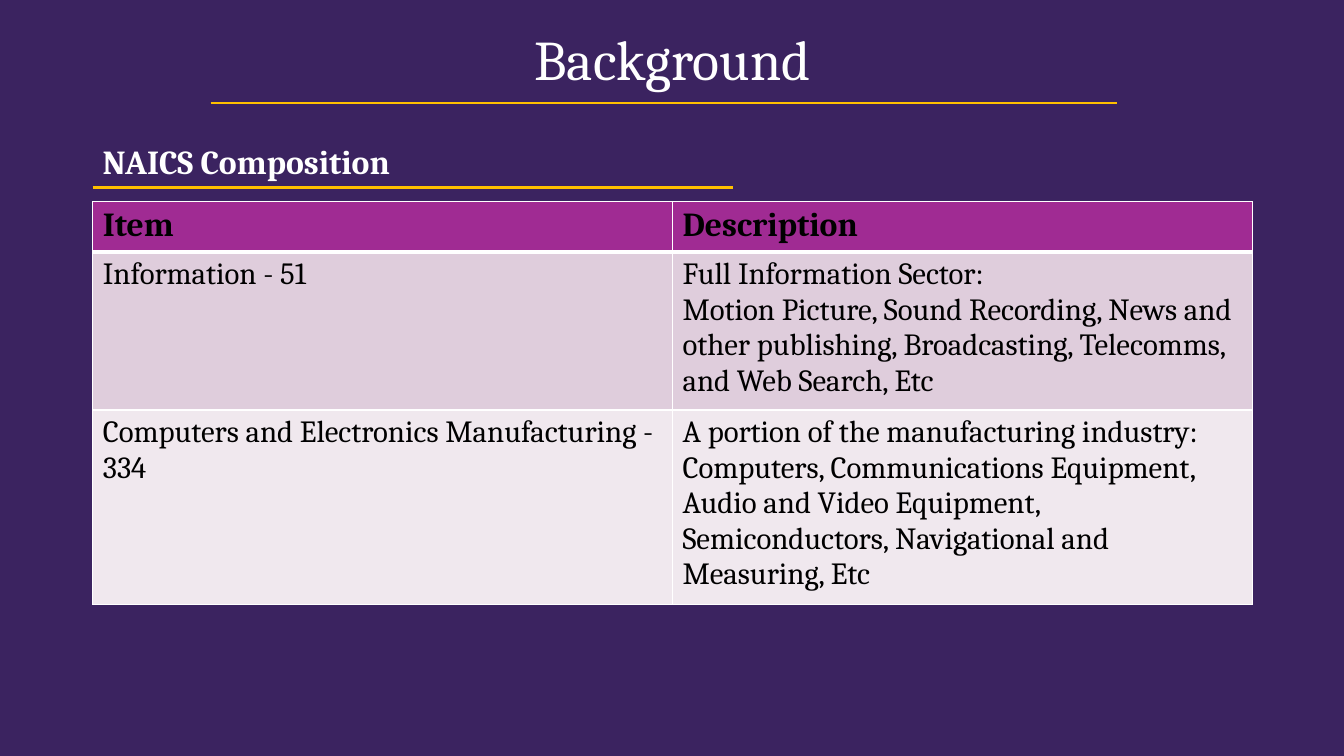
from lxml import etree
from pptx import Presentation
from pptx import util as u
from pptx.dml.color import RGBColor
from pptx.enum import shapes, text
from pptx.oxml import ns

COLORS = {
    "background": "3B2360",
    "white": "FFFFFF",
    "black": "000000",
    "gold": "FFC000",
    "header": "A02B93",
    "odd_row": "DFCDDC",
    "even_row": "F0E8EE",
}
FONT = "Cambria"
LEFT = 0.92
WIDTH = 11.5

NAICS_ROWS = [
    ("Item", "Description"),
    (
        "Information - 51",
        "Full Information Sector:\nMotion Picture, Sound Recording, News and other "
        "publishing, Broadcasting, Telecomms, and Web Search, Etc",
    ),
    (
        "Computers and Electronics Manufacturing - 334",
        "A portion of the manufacturing industry:\nComputers, Communications Equipment, "
        "Audio and Video Equipment, Semiconductors, Navigational and Measuring, Etc",
    ),
]
ROW_HEIGHTS = [0.48, 1.51, 1.86]
ROW_FILLS = ["header", "odd_row", "even_row"]


def rgb(name):
    return RGBColor.from_string(COLORS[name])


def write(paragraph, content, size, color, bold=False):
    """Add one run per line of content, with line breaks between them."""
    for index, line in enumerate(content.split("\n")):
        if index:
            paragraph.add_line_break()
        run = paragraph.add_run()
        run.text = line
        run.font.name = FONT
        run.font.size = u.Pt(size)
        run.font.bold = bold
        run.font.color.rgb = rgb(color)


def add_text(slide, box, content, size, bold=False):
    """Add a white text box and return its paragraph."""
    frame = slide.shapes.add_textbox(*map(u.Inches, box)).text_frame
    frame.word_wrap = True
    frame.vertical_anchor = text.MSO_ANCHOR.MIDDLE
    paragraph = frame.paragraphs[0]
    write(paragraph, content, size, "white", bold)
    return paragraph


def add_rule(slide, start, end, top):
    """Add a horizontal gold line."""
    rule = slide.shapes.add_connector(
        shapes.MSO_CONNECTOR.STRAIGHT,
        u.Inches(start), u.Inches(top), u.Inches(end), u.Inches(top),
    )
    rule.line.color.rgb = rgb("gold")
    rule.line.width = u.Pt(1.5)
    etree.SubElement(rule._element.spPr, ns.qn("a:effectLst"))


def set_borders(cell, bottom_width):
    """Draw white borders, placed before the cell's fill as the schema requires."""
    properties = cell._tc.get_or_add_tcPr()
    widths = {"lnL": 1, "lnR": 1, "lnT": 1, "lnB": bottom_width}
    for index, (tag, width) in enumerate(widths.items()):
        border = etree.Element(ns.qn(f"a:{tag}"), w=str(u.Pt(width)))
        fill = etree.SubElement(border, ns.qn("a:solidFill"))
        etree.SubElement(fill, ns.qn("a:srgbClr"), val=COLORS["white"])
        properties.insert(index, border)


def add_naics_table(slide, top):
    table = slide.shapes.add_table(
        len(NAICS_ROWS), 2, u.Inches(LEFT), u.Inches(top),
        u.Inches(WIDTH), u.Inches(sum(ROW_HEIGHTS)),
    ).table
    for row_index, contents in enumerate(NAICS_ROWS):
        is_header = row_index == 0
        table.rows[row_index].height = u.Inches(ROW_HEIGHTS[row_index])
        for column_index, content in enumerate(contents):
            cell = table.cell(row_index, column_index)
            cell.fill.solid()
            cell.fill.fore_color.rgb = rgb(ROW_FILLS[row_index])
            set_borders(cell, 3 if is_header else 1)
            size = 24 if is_header else 22
            write(cell.text_frame.paragraphs[0], content, size, "black", is_header)


def main():
    presentation = Presentation()
    presentation.slide_width = u.Inches(13.33)
    presentation.slide_height = u.Inches(7.5)
    slide = presentation.slides.add_slide(presentation.slide_layouts[6])
    slide.background.fill.solid()
    slide.background.fill.fore_color.rgb = rgb("background")

    title = add_text(slide, (LEFT, 0.2, WIDTH, 0.83), "Background", 40)
    title.alignment = text.PP_ALIGN.CENTER
    title.line_spacing = 0.9
    add_naics_table(slide, 2)
    add_rule(slide, 2.09, 11.08, 1.02)
    add_text(slide, (LEFT, 1.35, 12.21, 0.5), "NAICS Composition", 24, bold=True)
    add_rule(slide, LEFT, 7.27, 1.86)

    presentation.save("out.pptx")


if __name__ == "__main__":
    main()
